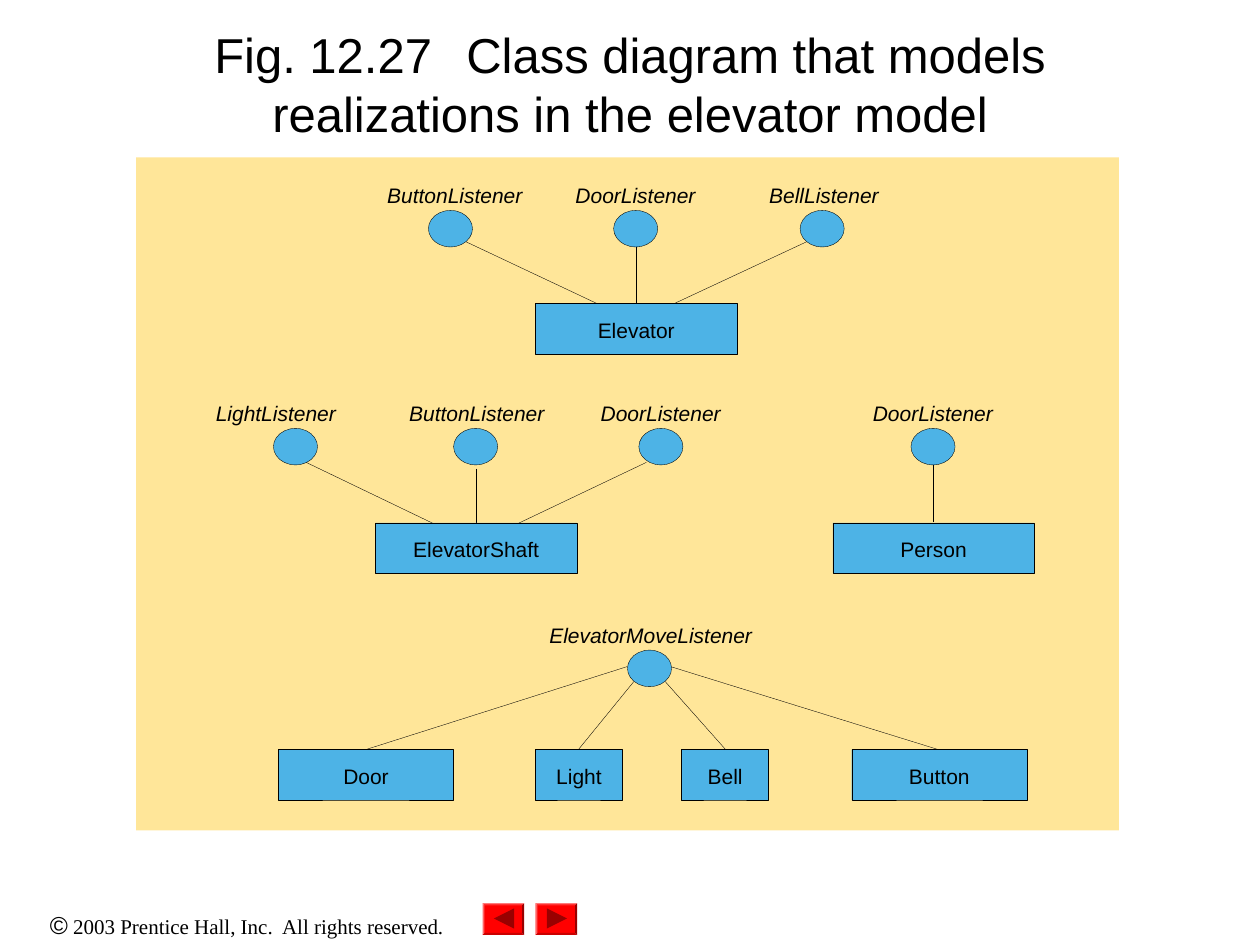
from typing import NamedTuple

from lxml.etree import SubElement
from pptx import Presentation
from pptx.dml.color import RGBColor
from pptx.enum.shapes import MSO_CONNECTOR, MSO_SHAPE
from pptx.enum.text import MSO_ANCHOR, PP_ALIGN
from pptx.oxml.ns import qn
from pptx.util import Inches, Pt

BLACK, BLUE, SAND, RED, DARK_RED = "000000", "4DB3E6", "FFE699", "FF0000", "990000"
CIRCLE_WIDTH, CIRCLE_HEIGHT = 0.35, 0.29
LABEL_RISE, LABEL_HEIGHT = 0.18, 0.15
BOX_HEIGHT = 0.4


class ClassBox(NamedTuple):
    name: str
    left: float
    top: float
    width: float


class Interface(NamedTuple):
    name: str
    label_left: float
    label_width: float
    left: float
    top: float


class Link(NamedTuple):
    start_x: float
    start_y: float
    end_x: float
    end_y: float


CLASS_BOXES = [
    ClassBox("Elevator", 4.25, 2.41, 1.6),
    ClassBox("ElevatorShaft", 2.98, 4.15, 1.6),
    ClassBox("Person", 6.61, 4.15, 1.6),
    ClassBox("Door", 2.21, 5.95, 1.39),
    ClassBox("Light", 4.25, 5.95, 0.69),
    ClassBox("Bell", 5.41, 5.95, 0.69),
    ClassBox("Button", 6.76, 5.95, 1.39),
]
INTERFACES = [
    Interface("ButtonListener", 2.92, 1.38, 3.4, 1.67),
    Interface("DoorListener", 4.48, 1.13, 4.87, 1.67),
    Interface("BellListener", 6.04, 1.0, 6.35, 1.67),
    Interface("LightListener", 1.65, 1.08, 2.17, 3.4),
    Interface("ButtonListener", 3.12, 1.33, 3.6, 3.4),
    Interface("DoorListener", 4.68, 1.13, 5.07, 3.4),
    Interface("DoorListener", 6.84, 1.13, 7.23, 3.4),
    Interface("ElevatorMoveListener", 4.17, 1.99, 4.98, 5.16),
]
LINKS = [
    Link(3.7, 1.92, 4.74, 2.41),
    Link(5.05, 1.96, 5.05, 2.41),
    Link(6.4, 1.92, 5.35, 2.41),
    Link(2.43, 3.67, 3.47, 4.17),
    Link(3.78, 3.72, 3.78, 4.17),
    Link(5.13, 3.67, 4.08, 4.17),
    Link(7.41, 3.69, 7.41, 4.14),
    Link(4.98, 5.29, 2.9, 5.95),
    Link(5.03, 5.41, 4.59, 5.95),
    Link(5.28, 5.41, 5.76, 5.95),
    Link(5.32, 5.29, 7.45, 5.95),
]


def color(value: str) -> RGBColor:
    return RGBColor.from_string(value)


def add_preset(slide, kind, left: float, top: float, width: float, height: float,
               fill: str, line_width: float = 0):
    """Add a filled shape, outlined in black if line_width is given."""
    shape = slide.shapes.add_shape(kind, Inches(left), Inches(top), Inches(width), Inches(height))
    shape.shadow.inherit = False
    shape.fill.solid()
    shape.fill.fore_color.rgb = color(fill)
    if line_width:
        shape.line.color.rgb = color(BLACK)
        shape.line.width = Pt(line_width)
    else:
        shape.line.fill.background()
    return shape


def set_insets(frame, side: float, top: float, bottom: float) -> None:
    frame.margin_left = frame.margin_right = Inches(side)
    frame.margin_top, frame.margin_bottom = Inches(top), Inches(bottom)


def add_text_box(slide, left: float, top: float, width: float, height: float):
    box = slide.shapes.add_textbox(Inches(left), Inches(top), Inches(width), Inches(height))
    box.text_frame.word_wrap = True
    return box.text_frame


def style_font(font, size: float, name: str = "Arial", italic: bool = False) -> None:
    font.size, font.name, font.italic = Pt(size), name, italic
    font.color.rgb = color(BLACK)


def write_name(frame, name: str, italic: bool) -> None:
    paragraph = frame.paragraphs[0]
    paragraph.text = name
    paragraph.alignment = PP_ALIGN.CENTER
    paragraph.line_spacing = 0.8
    style_font(paragraph.font, 12, italic=italic)


def add_link(slide, link: Link) -> None:
    connector = slide.shapes.add_connector(MSO_CONNECTOR.STRAIGHT, *map(Inches, link))
    connector.line.color.rgb = color(BLACK)
    connector.line.width = Pt(0.2)
    SubElement(connector._element.spPr, qn("a:effectLst"))


def add_class_box(slide, box: ClassBox) -> None:
    shape = add_preset(slide, MSO_SHAPE.RECTANGLE, box.left, box.top, box.width,
                       BOX_HEIGHT, BLUE, 0.25)
    frame = shape.text_frame
    set_insets(frame, 0, 0.06, 0)
    frame.vertical_anchor = MSO_ANCHOR.MIDDLE
    write_name(frame, box.name, italic=False)


def add_interface(slide, interface: Interface) -> None:
    frame = add_text_box(slide, interface.label_left, interface.top - LABEL_RISE,
                         interface.label_width, LABEL_HEIGHT)
    set_insets(frame, 0, 0, 0)
    write_name(frame, interface.name, italic=True)
    add_preset(slide, MSO_SHAPE.OVAL, interface.left, interface.top,
               CIRCLE_WIDTH, CIRCLE_HEIGHT, BLUE, 0.2)


def add_navigation_button(slide, left: float, rotation: float) -> None:
    button = add_preset(slide, MSO_SHAPE.BEVEL, left, 7.17, 0.33, 0.25, RED)
    button.adjustments[0] = 0.06
    arrow = add_preset(slide, MSO_SHAPE.ISOSCELES_TRIANGLE, left + 0.09, 7.21, 0.16, 0.16, DARK_RED)
    arrow.rotation = rotation


def add_title(slide) -> None:
    frame = add_text_box(slide, 0.75, 0.08, 8.5, 1.17)
    frame.vertical_anchor = MSO_ANCHOR.MIDDLE
    paragraph = frame.paragraphs[0]
    paragraph.text = "Fig. 12.27\tClass diagram that models realizations in the elevator model"
    paragraph.alignment = PP_ALIGN.CENTER
    tab_list = SubElement(paragraph._p.get_or_add_pPr(), qn("a:tabLst"))
    for inch in range(8):
        SubElement(tab_list, qn("a:tab"), pos=str(Inches(inch)), algn="l")
    style_font(paragraph.font, 28)


def add_copyright(slide) -> None:
    paragraph = add_text_box(slide, 0, 7.17, 3.92, 0.34).paragraphs[0]
    paragraph.alignment = PP_ALIGN.CENTER
    for text, size, font_name in [
        ("©", 14, "Arial"),
        (" 2003 Prentice Hall, Inc.  All rights reserved.", 12, "Times New Roman"),
    ]:
        run = paragraph.add_run()
        run.text = text
        style_font(run.font, size, font_name)


def main() -> None:
    presentation = Presentation()
    presentation.slide_width, presentation.slide_height = Inches(10), Inches(7.5)
    slide = presentation.slides.add_slide(presentation.slide_layouts[6])
    add_copyright(slide)
    add_navigation_button(slide, 4.25, 90)
    add_navigation_button(slide, 3.83, 270)
    add_title(slide)
    add_preset(slide, MSO_SHAPE.RECTANGLE, 1.08, 1.25, 7.8, 5.34, SAND)
    for link in LINKS:
        add_link(slide, link)
    for box in CLASS_BOXES:
        add_class_box(slide, box)
    for interface in INTERFACES:
        add_interface(slide, interface)
    presentation.save("out.pptx")


if __name__ == "__main__":
    main()
